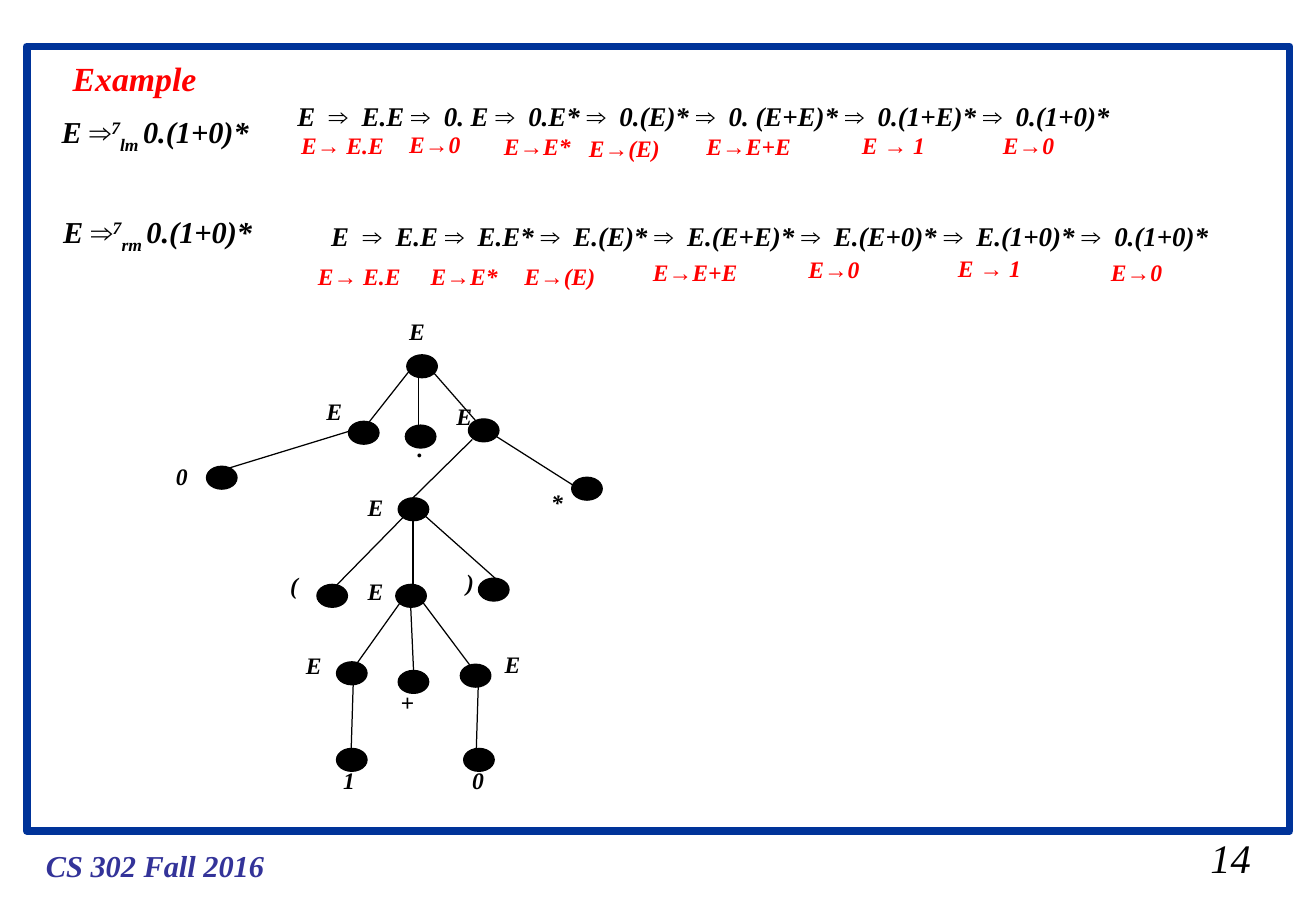
from lxml import etree
from pptx import Presentation, util as u
from pptx.dml.color import RGBColor
from pptx.enum import shapes, text
from pptx.oxml.ns import qn

COLORS = {"frame": "003399", "footer": "333399", "accent": "FF0000", "ink": "000000"}
ARROWS = "⇒→"


def rgb(name):
    return RGBColor.from_string(COLORS[name])


def add_text(x, y, w, size, color, pieces, bold=True):
    h = 0.25 + size * 0.0423
    tf = s.shapes.add_textbox(u.Cm(x), u.Cm(y), u.Cm(w), u.Cm(h)).text_frame
    tf.word_wrap = True
    tf.auto_size = text.MSO_AUTO_SIZE.SHAPE_TO_FIT_TEXT
    p = tf.paragraphs[0]
    for piece in pieces:
        r = p.add_run()
        r.text = piece
        r.font.name = "Arial" if piece in ARROWS else "Times New Roman"
        r.font.size = u.Pt(size)
        r.font.bold = bold
        r.font.italic = True
        r.font.color.rgb = rgb(color)
    return p


prs = Presentation()
prs.slide_width, prs.slide_height = u.Cm(27.53), u.Cm(19.05)
s = prs.slides.add_slide(prs.slide_layouts[6])

frame = s.shapes.add_shape(shapes.MSO_SHAPE.RECTANGLE, u.Cm(0.56), u.Cm(0.97), u.Cm(26.42), u.Cm(16.41))
frame.shadow.inherit = False
frame.fill.background()
frame.line.color.rgb = rgb("frame")
frame.line.width = u.Pt(4.5)

add_text(0.71, 17.6, 5.2, 18, "footer", ["CS 302 Fall 2016"])
add_text(25.07, 17.3, 1.45, 24, "ink", ["14"], bold=False)
add_text(1.27, 1.09, 3.2, 20, "accent", ["Example"])

for x, y, order in [(1.04, 2.24, "lm "), (1.07, 4.34, "rm ")]:
    p = add_text(x, y, 4.95, 18, "ink", ["E ", "⇒", "7", order, "0.(1+0)*"])
    for r, baseline in zip(p.runs[2:4], ["30000", "-25000"]):
        r._r.get_or_add_rPr().set("baseline", baseline)

derivations = [
    (5.97, 1.96, 18.8, ["E.E", "0. E", "0.E*", "0.(E)*", "0. (E+E)*", "0.(1+E)*", "0.(1+0)*"]),
    (6.68, 4.47, 20.07, ["E.E", "E.E*", "E.(E)*", "E.(E+E)*", "E.(E+0)*", "E.(1+0)*", "0.(1+0)*"]),
]
for x, y, w, steps in derivations:
    pieces = ["E "]
    for step in steps:
        pieces += ["⇒", f" {step} "]
    pieces[-1] = pieces[-1].rstrip()
    p = add_text(x, y, w, 16, "ink", pieces)
    p.runs[0]._r.get_or_add_rPr().set("spc", "200")
    for r in p.runs[1::2]:
        r._r.get_or_add_rPr().set("spc", "400")

rule_widths = {"E→ E.E": 2.34, "E→0": 1.67, "E→E*": 2, "E→(E)": 2.23, "E→E+E": 2.36, "E → 1": 1.93}
rules = [
    ("E→ E.E", 6.05, 2.62), ("E→0", 8.31, 2.59), ("E→E*", 10.29, 2.64), ("E→(E)", 12.07, 2.67),
    ("E→E+E", 14.53, 2.64), ("E → 1", 17.78, 2.62), ("E→0", 20.73, 2.62),
    ("E→ E.E", 6.4, 5.36), ("E→E*", 8.76, 5.36), ("E→(E)", 10.72, 5.36),
    ("E→E+E", 13.41, 5.26), ("E→0", 16.66, 5.21), ("E → 1", 19.79, 5.18), ("E→0", 22.99, 5.26),
]
for rule, x, y in rules:
    add_text(x, y, rule_widths[rule], 14, "accent", rule.partition("→"))

edges = [
    (8.71, 7.57, 7.49, 9.12), (8.76, 7.7, 8.76, 8.97), (8.92, 7.62, 10.19, 9.07),
    (7.82, 8.86, 4.75, 9.8), (9.88, 9.19, 8.64, 10.41), (10.01, 8.89, 12.09, 10.21),
    (8.53, 10.72, 6.91, 12.37), (8.64, 10.62, 8.64, 12.45), (8.76, 10.67, 10.39, 12.12),
    (8.48, 12.45, 7.34, 14.05), (8.59, 12.65, 8.66, 14.22), (8.79, 12.52, 10.01, 14.15),
    (7.39, 14.27, 7.34, 15.88), (10.01, 14.17, 9.96, 15.8),
]
for edge in edges:
    line = s.shapes.add_connector(shapes.MSO_CONNECTOR.STRAIGHT, *[u.Cm(v) for v in edge])
    line.line.color.rgb = rgb("ink")
    line.line.width = u.Pt(0.75)
    etree.SubElement(line._element.spPr, qn("a:effectLst"))

label_widths = {"E": 0.86, ".": 0.74, "0": 0.76, "1": 0.76, "*": 1.5, "(": 0.68, ")": 0.68, "+": 0.99}
nodes = [
    ("E", 8.51, 7.42, 8.31, 6.5),
    ("E", 7.29, 8.81, 6.58, 8.18),
    (".", 8.48, 8.89, 8.48, 8.94),
    ("E", 9.8, 8.76, 9.3, 8.28),
    ("0", 4.32, 9.75, 3.43, 9.53),
    ("E", 8.33, 10.41, 7.44, 10.19),
    ("*", 11.96, 9.98, 11.28, 10.08),
    ("(", 6.63, 12.22, 5.82, 11.81),
    ("E", 8.28, 12.22, 7.44, 11.94),
    (")", 10.01, 12.09, 9.5, 11.76),
    ("E", 7.04, 13.84, 6.15, 13.49),
    ("+", 8.33, 14.02, 8.13, 14.25),
    ("E", 9.63, 13.89, 10.31, 13.46),
    ("1", 7.04, 15.65, 6.93, 15.88),
    ("0", 9.7, 15.65, 9.63, 15.88),
]
for label, x, y, label_x, label_y in nodes:
    sp = s.shapes.add_shape(shapes.MSO_SHAPE.OVAL, u.Cm(x), u.Cm(y), u.Cm(0.64), u.Cm(0.48))
    sp.shadow.inherit = False
    sp.fill.solid()
    sp.fill.fore_color.rgb = rgb("ink")
    sp.line.color.rgb = rgb("ink")
    sp.line.width = u.Pt(0.75)
    add_text(label_x, label_y, label_widths[label], 14, "ink", [label])

prs.save("out.pptx")
